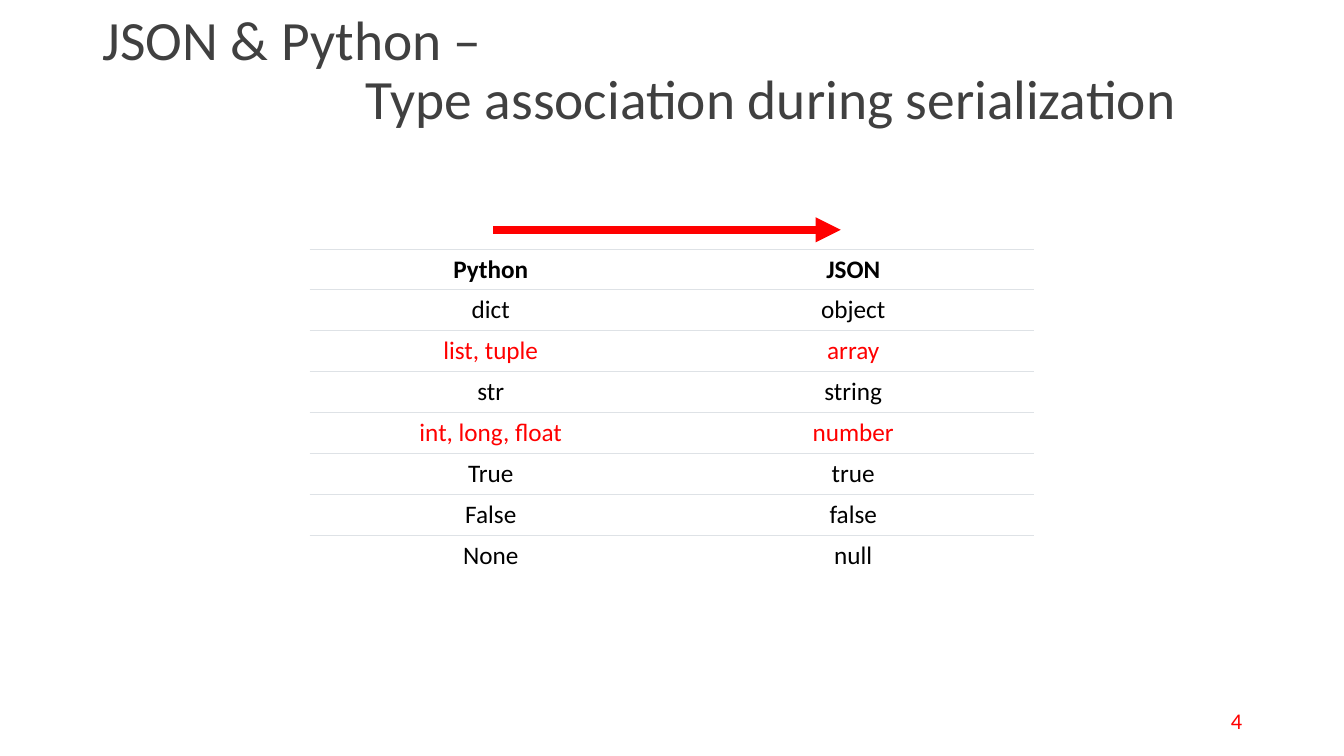
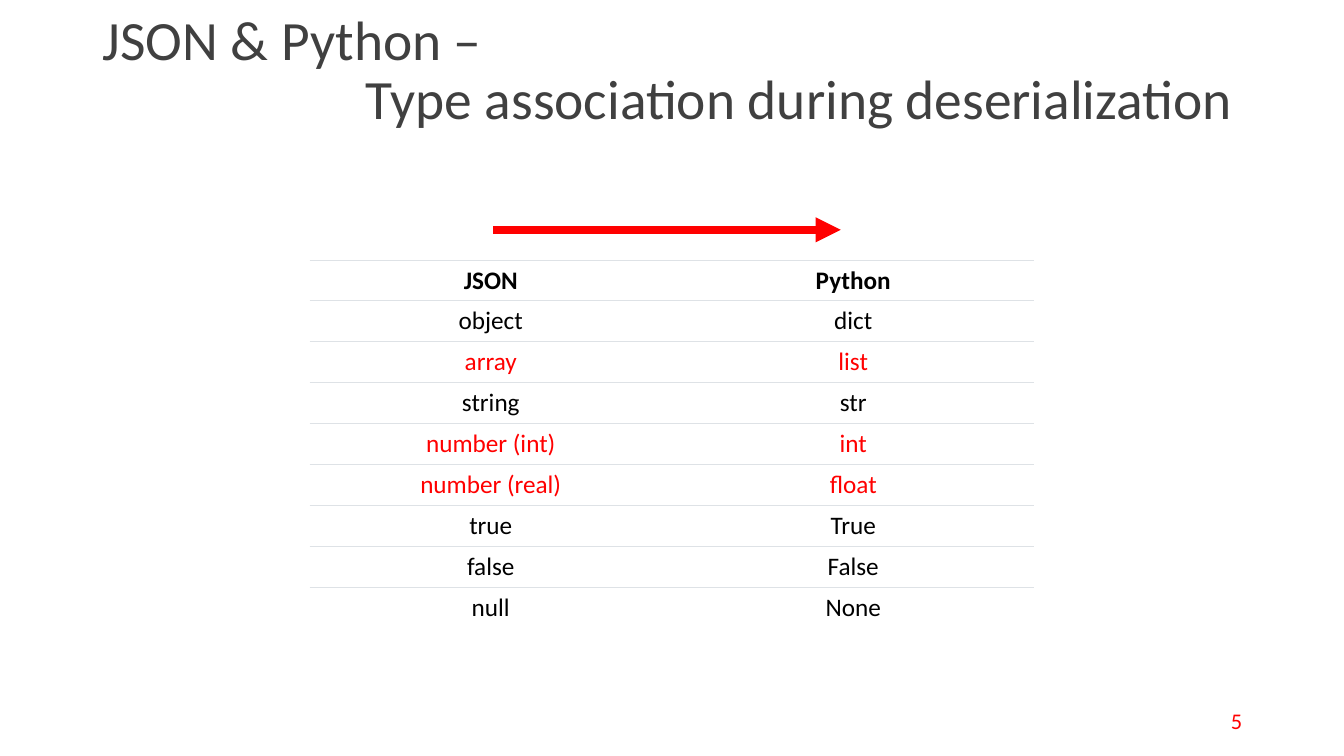
from lxml import etree
from pptx import Presentation
from pptx import util as u
from pptx.dml.color import RGBColor
from pptx.enum import shapes, text
from pptx.oxml.ns import qn

RED = RGBColor(0xFF, 0x00, 0x00)
BLACK = RGBColor(0x00, 0x00, 0x00)
WHITE = RGBColor(0xFF, 0xFF, 0xFF)
DARK_GRAY = RGBColor(0x40, 0x40, 0x40)
RULE_GRAY = RGBColor(0xDE, 0xE2, 0xE6)
TITLE_INDENT = u.Inches(2.61)
ROW_HEIGHT = 0.4
RULE_WIDTH = u.Pt(0.75)


def set_attrs(target, values):
    for name, value in values.items():
        setattr(target, name, value)


class Deck:
    title_font = {"name": "Calibri", "size": u.Pt(39.6), "bold": False}
    number_font = {"name": "Calibri", "size": u.Pt(16)}
    cell_font = {"name": "Calibri", "size": u.Pt(18)}
    frame = {"word_wrap": True, "auto_size": text.MSO_AUTO_SIZE.NONE,
             "vertical_anchor": text.MSO_ANCHOR.MIDDLE}

    def __init__(self):
        self.prs = Presentation()
        set_attrs(self.prs, {"slide_width": u.Inches(13.33),
                             "slide_height": u.Inches(7.5)})
        self.s = None

    def add_slide(self):
        self.s = self.prs.slides.add_slide(self.prs.slide_layouts[5])

    def add_text(self, p, content, font, color, align):
        p.alignment = align
        r = p.add_run()
        r.text = content
        set_attrs(r.font, font)
        r.font.color.rgb = color

    def title(self, first, second):
        sp = self.s.shapes.title
        set_attrs(sp, {"left": u.Inches(0.92), "top": u.Inches(-0.01),
                       "width": u.Inches(11.5), "height": u.Inches(1.45)})
        tf = sp.text_frame
        set_attrs(tf, self.frame)
        lines = [(tf.paragraphs[0], first, 0),
                 (tf.add_paragraph(), second, TITLE_INDENT)]
        for p, line, indent in lines:
            self.add_text(p, line, self.title_font, DARK_GRAY,
                          text.PP_ALIGN.LEFT)
            set_attrs(p, {"line_spacing": 0.9, "space_before": u.Pt(0)})
            p._p.get_or_add_pPr().set("marL", str(indent))

    def page_number(self, number):
        sp = self.s.shapes.add_textbox(u.Inches(9.42), u.Inches(6.95),
                                       u.Inches(3), u.Inches(0.4))
        tf = sp.text_frame
        set_attrs(tf, self.frame)
        self.add_text(tf.paragraphs[0], str(number), self.number_font, RED,
                      text.PP_ALIGN.RIGHT)

    def arrow(self, x1, x2, y):
        line = self.s.shapes.add_connector(
            shapes.MSO_CONNECTOR.STRAIGHT,
            u.Inches(x1), u.Inches(y), u.Inches(x2), u.Inches(y))
        line.line.color.rgb = RED
        line.line.width = u.Pt(6)
        ln = line._element.spPr.find(qn("a:ln"))
        etree.SubElement(ln, qn("a:tailEnd"), type="triangle")
        etree.SubElement(line._element.spPr, qn("a:effectLst"))

    def borders(self, cell, ruled):
        tcPr = cell._tc.get_or_add_tcPr()
        for i, side in enumerate(("lnL", "lnR", "lnT", "lnB")):
            ln = etree.Element(qn("a:" + side), w=str(RULE_WIDTH))
            if side in ruled:
                fill = etree.SubElement(ln, qn("a:solidFill"))
                etree.SubElement(fill, qn("a:srgbClr"), val=str(RULE_GRAY))
            else:
                etree.SubElement(ln, qn("a:noFill"))
            tcPr.insert(i, ln)

    def type_table(self, top, rows, red_rows):
        table = self.s.shapes.add_table(
            len(rows), 2, u.Inches(3.07), u.Inches(top),
            u.Inches(7.19), u.Inches(ROW_HEIGHT * len(rows))).table
        table.horz_banding = False
        for i, row in enumerate(rows):
            header = i == 0
            ruled = ("lnT",) if i == len(rows) - 1 else ("lnT", "lnB")
            for j, content in enumerate(row):
                cell = table.cell(i, j)
                cell.fill.solid()
                cell.fill.fore_color.rgb = WHITE
                cell.vertical_anchor = (text.MSO_ANCHOR.BOTTOM if header
                                        else text.MSO_ANCHOR.TOP)
                self.add_text(cell.text_frame.paragraphs[0], content,
                              {**self.cell_font, "bold": header},
                              RED if i in red_rows else BLACK,
                              text.PP_ALIGN.CENTER)
                self.borders(cell, ruled)


SLIDES = [
    {"number": 4, "subject": "serialization", "top": 2.47, "red_rows": (2, 4),
     "rows": [("Python", "JSON"), ("dict", "object"), ("list, tuple", "array"),
              ("str", "string"), ("int, long, float", "number"),
              ("True", "true"), ("False", "false"), ("None", "null")]},
    {"number": 5, "subject": "deserialization", "top": 2.58,
     "red_rows": (2, 4, 5),
     "rows": [("JSON", "Python"), ("object", "dict"), ("array", "list"),
              ("string", "str"), ("number (int)", "int"),
              ("number (real)", "float"), ("true", "True"),
              ("false", "False"), ("null", "None")]},
]


def main():
    deck = Deck()
    for item in SLIDES:
        deck.add_slide()
        deck.title("JSON & Python –",
                   "Type association during " + item["subject"])
        deck.page_number(item["number"])
        deck.type_table(item["top"], item["rows"], item["red_rows"])
        deck.arrow(4.89, 8.34, 2.28)
    deck.prs.save("out.pptx")


if __name__ == "__main__":
    main()
